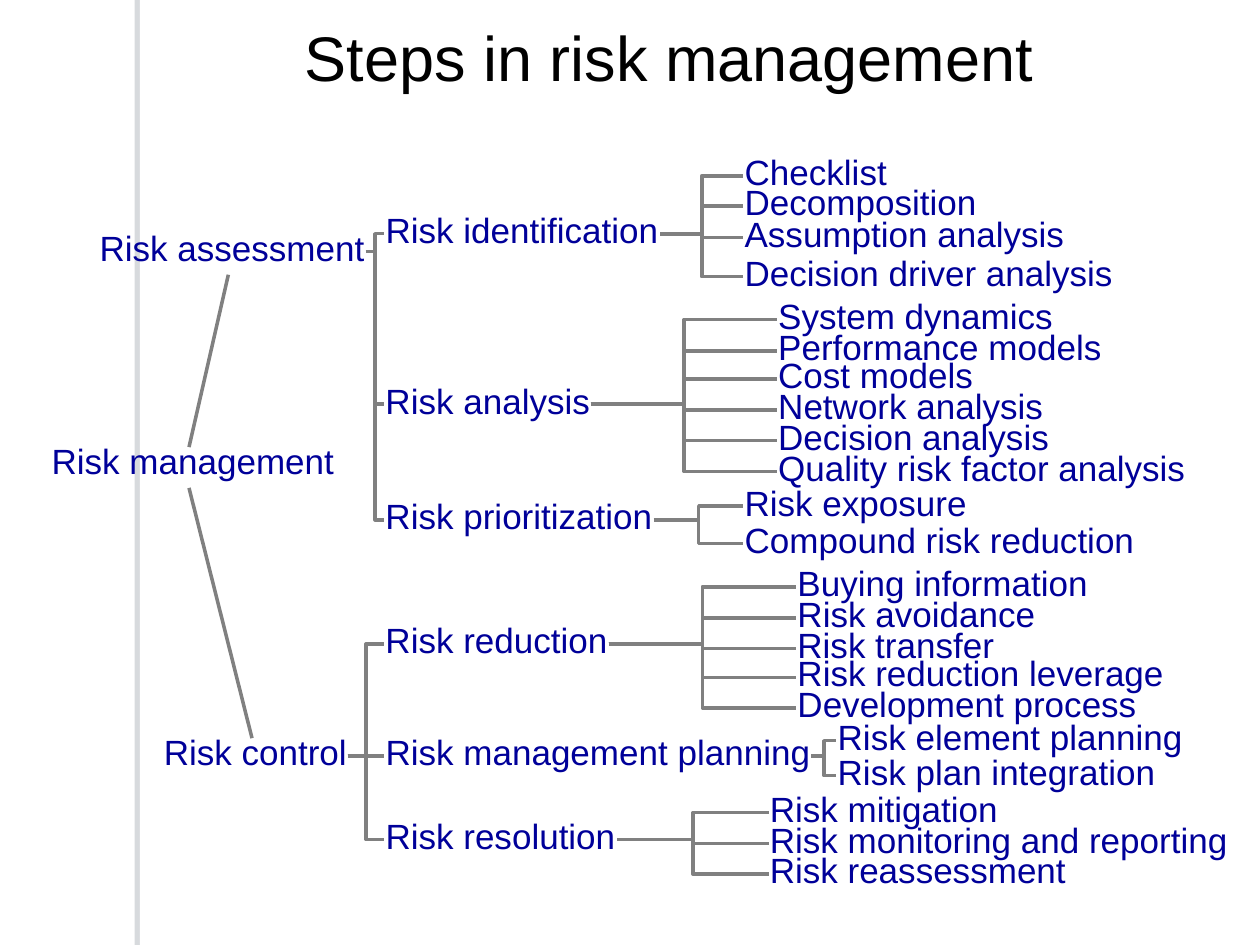
from lxml.etree import SubElement
from pptx import Presentation
from pptx.dml.color import RGBColor
from pptx.enum.shapes import MSO_CONNECTOR as Connector, MSO_SHAPE as Shape
from pptx.enum.text import MSO_ANCHOR as Anchor, MSO_AUTO_SIZE as AutoSize, PP_ALIGN as Align
from pptx.oxml import parse_xml
from pptx.oxml.ns import nsdecls, qn
from pptx.util import Pt

COLORS = {"title": "000000", "label": "000099", "line": "808080",
          "bar": "FFFFFF", "shadow": "66727D"}
LABEL_HEIGHT = 21
LABEL_SLACK = 3  # room at the right so that no label wraps
STEP_LEFT = 219.6

# Each label is (text, left, top, width); steps share one left edge,
# and so do the techniques of one step.
ROOT = ("Risk management", 28.8, 254.9, 162.7)
BRANCHES = [
    (("Risk assessment", 56.2, 133.2, 152.9), [
        (("Risk identification", 123.1, 157.7), 424.8, [
            ("Checklist", 90, 82.8),
            ("Decomposition", 107.3, 133.9),
            ("Assumption analysis", 125.3, 184.3),
            ("Decision driver analysis", 147.6, 211.7)]),
        (("Risk analysis", 220.5, 118.1), 444, [
            ("System dynamics", 172.1, 158.4),
            ("Performance models", 190.1, 186.5),
            ("Cost models", 206.1, 113),
            ("Network analysis", 223.7, 152.6),
            ("Decision analysis", 241.3, 156.2),
            ("Quality risk factor analysis", 259, 234)]),
        (("Risk prioritization", 286.6, 154.1), 424.8, [
            ("Risk exposure", 278.8, 128.2),
            ("Compound risk reduction", 300.1, 223.9)]),
    ]),
    (("Risk control", 92.9, 421.4, 105.8), [
        (("Risk reduction", 357.6, 128.2), 455, [
            ("Buying information", 324.8, 167.8),
            ("Risk avoidance", 342.6, 137.5),
            ("Risk transfer", 360, 113.8),
            ("Risk reduction leverage", 376.5, 211),
            ("Development process", 394, 195.1)]),
        (("Risk management planning", 421.4, 244.1), 478, [
            ("Risk element planning", 412.8, 198.7),
            ("Risk plan integration", 432.8, 182.9)]),
        (("Risk resolution", 469.3, 133.2), 439.2, [
            ("Risk mitigation", 453.8, 131.8),
            ("Risk monitoring and reporting", 471.5, 263.5),
            ("Risk reassessment", 489, 170.6)]),
    ]),
]

deck = Presentation()
deck.slide_width, deck.slide_height = Pt(720), Pt(540)
page = deck.slides.add_slide(deck.slide_layouts[5])


def add_text(box, text, size, color):
    """Write one tight line of text into a box."""
    frame = box.text_frame
    frame.margin_left = frame.margin_right = Pt(0.7)
    frame.margin_top = frame.margin_bottom = Pt(0.7)
    frame.vertical_anchor = Anchor.TOP
    frame.word_wrap = True
    frame.auto_size = AutoSize.NONE
    frame.text = text
    para = frame.paragraphs[0]
    para.line_spacing = 0.8
    para.font.name = "Arial"
    para.font.size = Pt(size)
    para.font.color.rgb = RGBColor.from_string(COLORS[color])
    return para


def connect(kind, x1, y1, x2, y2):
    line = page.shapes.add_connector(kind, Pt(x1), Pt(y1), Pt(x2), Pt(y2))
    line.line.color.rgb = RGBColor.from_string(COLORS["line"])
    line.line.width = Pt(2)
    SubElement(line._element.spPr, qn("a:effectLst"))


# Side bar, with a soft shadow to its left
bar = page.shapes.add_shape(Shape.RECTANGLE, Pt(80), 0, Pt(5.76), Pt(540))
bar.fill.solid()
bar.fill.fore_color.rgb = RGBColor.from_string(COLORS["bar"])
bar.line.fill.background()
bar._element.spPr.append(parse_xml(
    f'<a:effectLst {nsdecls("a")}><a:outerShdw dist="{Pt(3)}" dir="10800000">'
    f'<a:srgbClr val="{COLORS["shadow"]}"><a:alpha val="25000"/></a:srgbClr>'
    '</a:outerShdw></a:effectLst>'))

title = page.shapes.title
title.left, title.top, title.width, title.height = Pt(118), Pt(18), Pt(528.5), Pt(36)
add_text(title, "Steps in risk management", 36, "title").alignment = Align.CENTER

# Flatten the tree into labels and the links between their middles
labels, links = [ROOT], []
for branch, steps in BRANCHES:
    labels.append(branch)
    for (text, top, width), technique_left, techniques in steps:
        step = (text, STEP_LEFT, top, width)
        labels.append(step)
        links.append((branch, step))
        for name, technique_top, technique_width in techniques:
            technique = (name, technique_left, technique_top, technique_width)
            labels.append(technique)
            links.append((step, technique))

for text, left, top, width in labels:
    box = page.shapes.add_textbox(Pt(left), Pt(top), Pt(width + LABEL_SLACK), Pt(LABEL_HEIGHT))
    add_text(box, text, 20, "label")

connect(Connector.STRAIGHT, 130.5, 157, 108, 255.5)
connect(Connector.STRAIGHT, 108, 278.8, 144, 421.8)
for (_, left, top, width), (_, end_left, end_top, _) in links:
    kind = Connector.STRAIGHT if top == end_top else Connector.ELBOW
    connect(kind, left + width, top + LABEL_HEIGHT / 2,
            end_left, end_top + LABEL_HEIGHT / 2)

deck.save("out.pptx")
